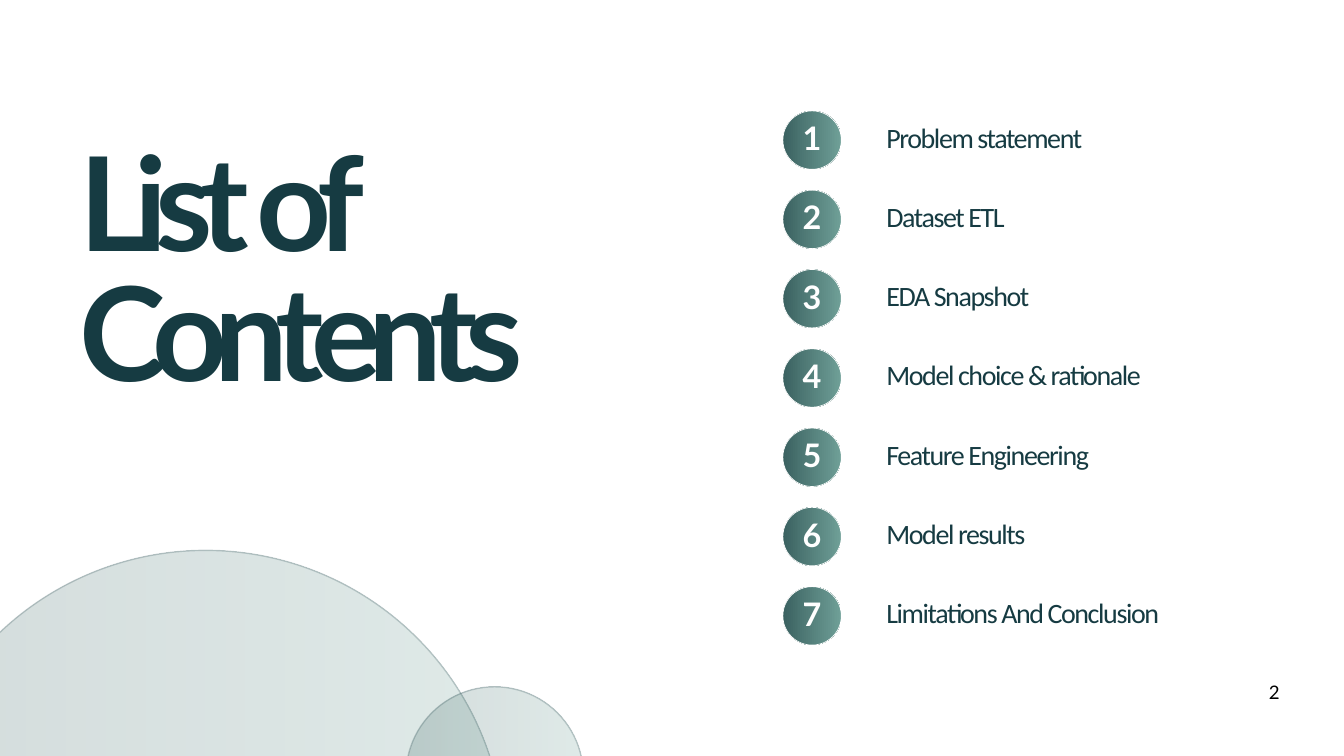
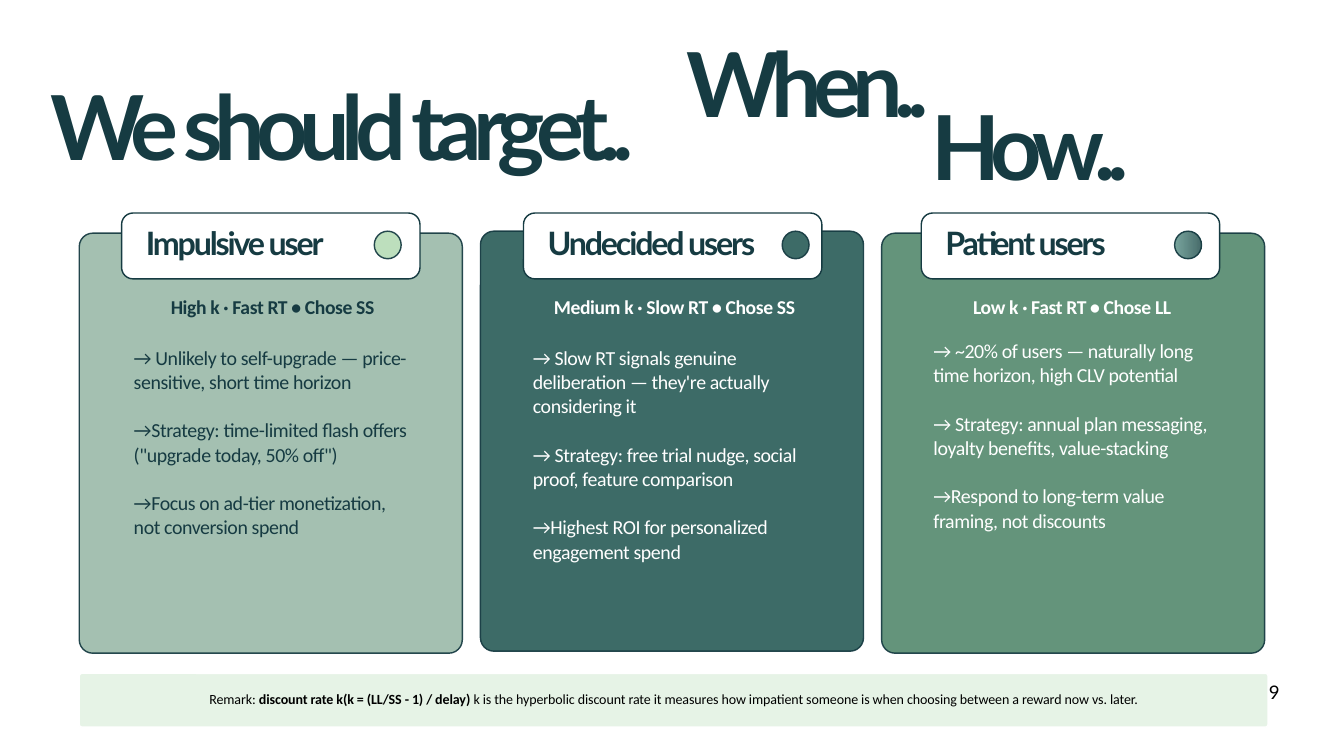
from dataclasses import dataclass

import pptx
import pptx.dml.color
import pptx.enum.shapes
import pptx.enum.text
import pptx.oxml.ns
import pptx.util
from lxml import etree

Inches = pptx.util.Inches
Pt = pptx.util.Pt
RGBColor = pptx.dml.color.RGBColor
Shape = pptx.enum.shapes.MSO_SHAPE
Align = pptx.enum.text.PP_ALIGN
Anchor = pptx.enum.text.MSO_ANCHOR
qn = pptx.oxml.ns.qn

INK = RGBColor(0x16, 0x3B, 0x42)
WHITE = RGBColor(0xFF, 0xFF, 0xFF)
BLACK = RGBColor(0x00, 0x00, 0x00)
DEEP = RGBColor(0x3B, 0x62, 0x61)
MIST = RGBColor(0x6F, 0x9F, 0x97)
SAGE = RGBColor(0x9E, 0xBC, 0xAC)
TEAL = RGBColor(0x2F, 0x60, 0x5C)
FERN = RGBColor(0x59, 0x8C, 0x71)
MINT = RGBColor(0xB8, 0xDD, 0xB8)


@dataclass
class TextStyle:
    size: float
    line: float
    color: RGBColor = INK
    font: str = "Lato"
    bold: bool = False
    tracking: float = 0
    align: Align = Align.LEFT
    gap: float = 0


@dataclass
class Card:
    left: float
    top: float
    tab_left: float
    dot_left: float
    body_left: float
    body_top: float
    fill: RGBColor
    dot_fill: object
    text_color: RGBColor
    title: str
    profile: str
    points: list


COVER_TITLE = TextStyle(140, 138.6, bold=True, tracking=-13.2)
TITLE = TextStyle(96, 95, bold=True, tracking=-9)
BADGE = TextStyle(34.7, 36.4, WHITE, bold=True, tracking=-1, align=Align.CENTER)
TOPIC = TextStyle(30, 30, font="Calibri", tracking=-1.5)
TAB = TextStyle(34.5, 34.1, bold=True, tracking=-2.3)
REMARK = TextStyle(15, 16.2, BLACK, "Calibri", tracking=-0.1, align=Align.CENTER)
PAGE_NUMBER = TextStyle(20, 28, BLACK, align=Align.CENTER)

TOPICS = [
    "Problem statement",
    "Dataset ETL",
    "EDA Snapshot",
    "Model choice & rationale",
    "Feature Engineering",
    "Model results",
    "Limitations And Conclusion",
]

CARDS = [
    Card(1.18, 3.47, 1.81, 5.57, 1.99, 5.13, SAGE, MINT, INK,
         "Impulsive user", "High k · Fast RT • Chose SS",
         ["→ Unlikely to self-upgrade — price-sensitive, short time horizon",
          "→Strategy: time-limited flash offers (\"upgrade today, 50% off\")",
          "→Focus on ad-tier monetization, not conversion spend"]),
    Card(7.15, 3.44, 7.79, 11.64, 7.93, 5.13, TEAL, TEAL, WHITE,
         "Undecided users", "Medium k · Slow RT • Chose SS",
         ["→ Slow RT signals genuine deliberation — they're actually considering it",
          "→ Strategy: free trial nudge, social proof, feature comparison",
          "→Highest ROI for personalized engagement spend"]),
    Card(13.12, 3.47, 13.71, 17.48, 13.89, 5.03, FERN, (MIST, DEEP), WHITE,
         "Patient users", "Low k · Fast RT • Chose LL",
         ["→ ~20% of users — naturally long time horizon, high CLV potential",
          "→ Strategy: annual plan messaging, loyalty benefits, value-stacking",
          "→Respond to long-term value framing, not discounts"]),
]


def set_opacity(element, percent):
    for color in element.iter(qn("a:srgbClr")):
        alpha = etree.SubElement(color, qn("a:alpha"))
        alpha.set("val", str(percent * 1000))


def add_panel(slide, kind, left, top, width, height, fill, line=INK,
              line_width=1.5, opacity=100, line_opacity=100, radius=None):
    shape = slide.shapes.add_shape(
        kind, Inches(left), Inches(top), Inches(width), Inches(height))
    shape.shadow.inherit = False
    if radius is not None:
        shape.adjustments[0] = radius / min(width, height)
    if isinstance(fill, RGBColor):
        shape.fill.solid()
        shape.fill.fore_color.rgb = fill
    else:
        shape.fill.gradient()
        shape.fill.gradient_angle = 0
        for stop, color in zip(shape.fill.gradient_stops, fill):
            stop.color.rgb = color
    if opacity < 100:
        set_opacity(shape._element.spPr, opacity)
    shape.line.color.rgb = line
    shape.line.width = Pt(line_width)
    if line_opacity < 100:
        set_opacity(shape._element.spPr.find(qn("a:ln")), line_opacity)
    return shape


def format_paragraph(paragraph, style):
    paragraph.alignment = style.align
    paragraph.line_spacing = Pt(style.line)
    font = paragraph.font
    font.size = Pt(style.size)
    font.name = style.font
    font.bold = style.bold
    font.color.rgb = style.color
    if style.tracking:
        font._element.set("spc", str(round(style.tracking * 100)))


def write_text(shape, lines, style, anchor=Anchor.TOP, inset=0, wrap=True):
    frame = shape.text_frame
    frame.word_wrap = wrap
    frame.vertical_anchor = anchor
    frame.margin_left = Inches(inset)
    frame.margin_top = frame.margin_right = frame.margin_bottom = 0
    for index, line in enumerate(lines):
        paragraph = frame.add_paragraph() if index else frame.paragraphs[0]
        paragraph.text = line
        if index:
            paragraph.space_before = Pt(style.gap)
        format_paragraph(paragraph, style)


def add_text(slide, left, top, width, height, lines, style, wrap=True):
    box = slide.shapes.add_textbox(
        Inches(left), Inches(top), Inches(width), Inches(height))
    write_text(box, lines, style, wrap=wrap)


def add_page_number(slide, number):
    add_text(slide, 18.88, 10.07, 0.17, 0.22, [number], PAGE_NUMBER, wrap=False)


def add_topic(slide, index, topic):
    top = 1.65 + 1.18 * index
    badge = add_panel(slide, Shape.OVAL, 11.65, top, 0.87, 0.87,
                      (DEEP, MIST), WHITE, 0.75)
    write_text(badge, [str(index + 1)], BADGE, Anchor.MIDDLE)
    add_text(slide, 13.19, top + 0.22, 5.22, 0.44, [topic], TOPIC)


def add_card(slide, card):
    add_panel(slide, Shape.ROUNDED_RECTANGLE, card.left, card.top, 5.7, 6.25,
              card.fill, opacity=93, line_opacity=93, radius=0.2)
    tab = add_panel(slide, Shape.ROUNDED_RECTANGLE, card.tab_left, 3.17, 4.44, 0.98,
                    WHITE, radius=0.17)
    write_text(tab, [card.title], TAB, Anchor.MIDDLE, inset=0.31)
    add_panel(slide, Shape.OVAL, card.dot_left, 3.44, 0.4, 0.41,
              card.dot_fill, opacity=93, line_opacity=93)
    profile = TextStyle(21, 25.6, card.text_color, "Calibri", True, -0.4, Align.CENTER)
    points = TextStyle(21.3, 26, card.text_color, "Calibri", tracking=-0.4, gap=26)
    add_text(slide, card.tab_left, 4.38, 4.49, 0.36, [card.profile], profile)
    add_text(slide, card.body_left, card.body_top, 4.08, 3.99, card.points, points)


def add_remark(slide):
    band = add_panel(slide, Shape.ROUNDED_RECTANGLE, 1.18, 10.02, 17.69, 0.8,
                     MINT, WHITE, opacity=35, radius=0.04)
    write_text(band, [""], REMARK, Anchor.MIDDLE)
    paragraph = band.text_frame.paragraphs[0]
    for text, bold in [
        ("Remark: ", False),
        ("discount rate k(k = (LL/SS - 1) / delay)", True),
        (" k is the hyperbolic discount rate it measures how impatient someone is "
         "when choosing between a reward now vs. later.", False),
    ]:
        run = paragraph.add_run()
        run.text = text
        run.font.bold = bold


def build_contents(slide):
    add_text(slide, 1.18, 2.21, 10.1, 3.93, ["List of Contents"], COVER_TITLE)
    for left, top, diameter in [(-1.39, 8.19, 8.9), (6.04, 10.22, 2.64)]:
        add_panel(slide, Shape.OVAL, left, top, diameter, diameter,
                  (DEEP, MIST), opacity=22, line_opacity=22)
    for index, topic in enumerate(TOPICS):
        add_topic(slide, index, topic)
    add_page_number(slide, "2")


def build_targets(slide):
    for left, top, width, title in [
        (0.75, 1.33, 9.4, "We should target.."),
        (10.21, 0.69, 9.24, "When.."),
        (13.86, 1.64, 5.6, "How.."),
    ]:
        add_text(slide, left, top, width, 1.38, [title], TITLE)
    for card in CARDS:
        add_card(slide, card)
    add_remark(slide)
    add_page_number(slide, "9")


def main():
    presentation = pptx.Presentation()
    presentation.slide_width = Inches(20)
    presentation.slide_height = Inches(11.25)
    for build in (build_contents, build_targets):
        build(presentation.slides.add_slide(presentation.slide_layouts[6]))
    presentation.save("out.pptx")


if __name__ == "__main__":
    main()
